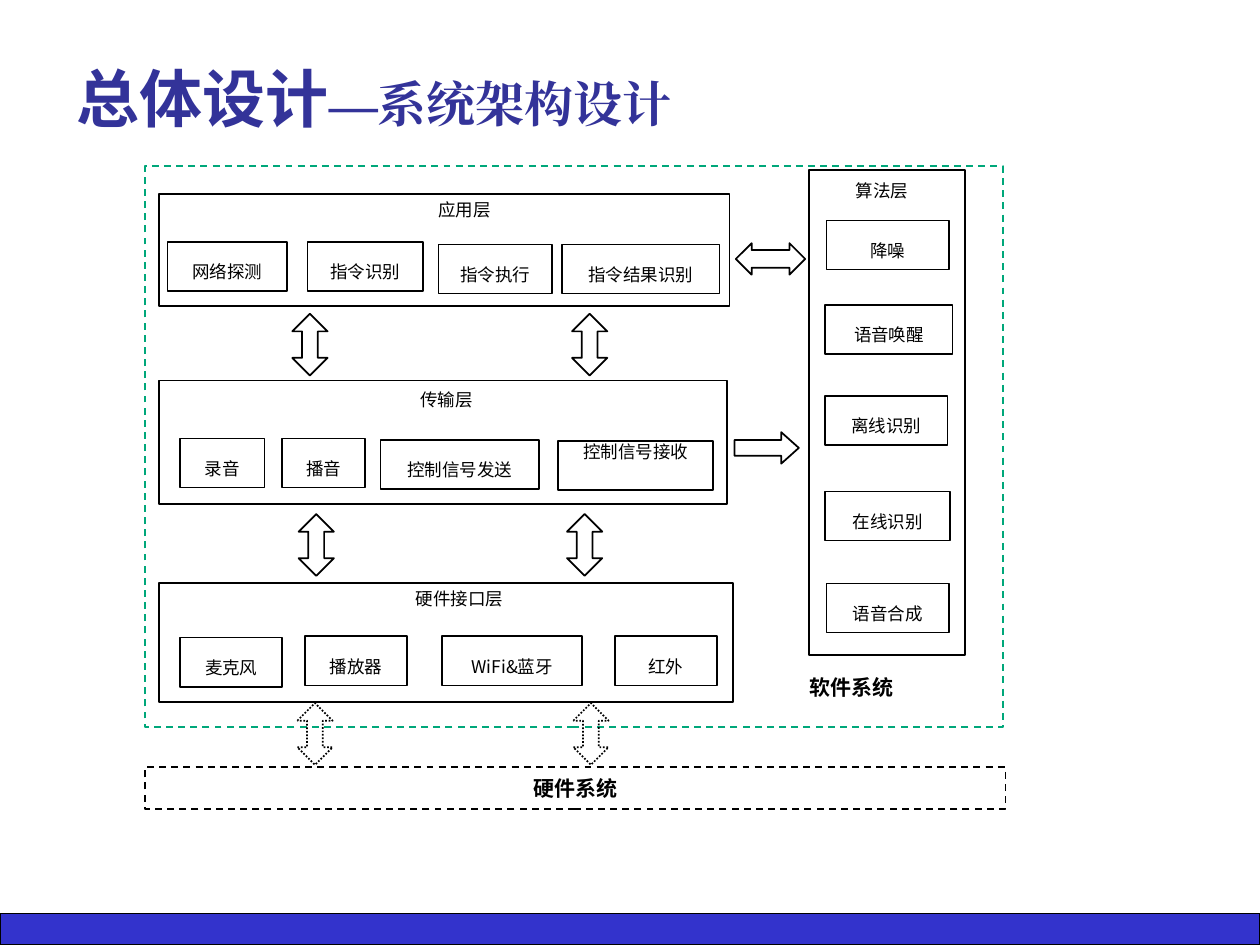
import dataclasses

import pptx
import pptx.dml.color
import pptx.enum.dml
import pptx.enum.shapes
import pptx.enum.text
import pptx.util
from lxml import etree

Inches = pptx.util.Inches
Pt = pptx.util.Pt
Shape = pptx.enum.shapes.MSO_SHAPE
Dash = pptx.enum.dml.MSO_LINE
Align = pptx.enum.text.PP_ALIGN
Anchor = pptx.enum.text.MSO_ANCHOR


@dataclasses.dataclass(frozen=True)
class Theme:
    title: str = "333399"
    bar: str = "3333CC"
    frame: str = "00A77A"
    ink: str = "000000"
    paper: str = "FFFFFF"
    head_font: str = "Cabin"
    sub_font: str = "Times New Roman"
    font: str = "Noto Sans CJK SC"
    head: int = 36
    sub: int = 28
    strong: int = 12
    small: int = 10


THEME = Theme()
PART_H = 0.39


def rgb(code):
    return pptx.dml.color.RGBColor.from_string(code)


def write(para, text, size=THEME.small, font=THEME.font, color=THEME.ink,
          bold=False, align=Align.CENTER, space=1.0):
    """Add a run to a paragraph, with one font for Latin and Chinese."""
    para.alignment = align
    para.line_spacing = space
    run = para.add_run()
    run.text = text
    run.font.size = Pt(size)
    run.font.bold = bold
    run.font.name = font
    run.font.color.rgb = rgb(color)
    latin = run.font._element.find(pptx.oxml.ns.qn("a:latin"))
    east = etree.Element(pptx.oxml.ns.qn("a:ea"), typeface=font)
    latin.addnext(east)


def draw(slide, kind, box, line=THEME.ink, fill=None, dash=None, width=1):
    shape = slide.shapes.add_shape(kind, *map(Inches, box))
    shape.shadow.inherit = False
    if fill:
        shape.fill.solid()
        shape.fill.fore_color.rgb = rgb(fill)
    else:
        shape.fill.background()
    shape.line.color.rgb = rgb(line)
    shape.line.width = Pt(width)
    if dash:
        shape.line.dash_style = dash
    return shape


def label(slide, box, text, **style):
    frame = slide.shapes.add_textbox(*map(Inches, box)).text_frame
    frame.word_wrap = True
    frame.margin_top = Inches(0.03)
    write(frame.paragraphs[0], text, **style)


def part(slide, box, text, top=False):
    """Draw a module; top puts its name at the upper edge."""
    frame = draw(slide, Shape.RECTANGLE, box).text_frame
    frame.word_wrap = True
    frame.margin_left = frame.margin_right = 0
    if top:
        frame.margin_top = 0
    frame.vertical_anchor = Anchor.TOP if top else Anchor.MIDDLE
    write(frame.paragraphs[0], text, space=1.0 if top else 1.5)


def layer(slide, box, name, spot, parts):
    """Draw a layer; spot and parts are offsets from its corner."""
    x, y = box[:2]
    draw(slide, Shape.RECTANGLE, box)
    label(slide, (x + spot[0], y + spot[1], spot[2], 0.3), name)
    for dx, dy, wide, text, *top in parts:
        part(slide, (x + dx, y + dy, wide, PART_H), text, *top)


def arrow(slide, kind, box, head, dash=None, turn=0):
    shape = draw(slide, kind, box, dash=dash)
    shape.adjustments[0] = 0.5
    shape.adjustments[1] = head
    shape.rotation = turn


def links(slide, box, dash=None):
    """Draw an upright double arrow at each end of the box."""
    x, y, wide, high = box
    for left in (x, x + wide - 0.28):
        arrow(slide, Shape.UP_DOWN_ARROW, (left, y, 0.28, high), 0.447, dash)


def heading(slide, box):
    title = slide.shapes.title
    title.left, title.top, title.width, title.height = map(Inches, box)
    frame = title.text_frame
    frame.auto_size = pptx.enum.text.MSO_AUTO_SIZE.NONE
    frame.vertical_anchor = Anchor.BOTTOM
    para = frame.paragraphs[0]
    style = {"color": THEME.title, "bold": True, "align": Align.LEFT}
    write(para, "总体设计", size=THEME.head, font=THEME.head_font, **style)
    write(para, "—系统架构设计", size=THEME.sub, font=THEME.sub_font, **style)


def software(slide, box):
    x, y, wide, high = box
    draw(slide, Shape.RECTANGLE, box, line=THEME.frame, dash=Dash.DASH)
    left = x + 0.11
    layer(slide, (left, y + 0.22, 4.53, 0.89), "应用层", (1.82, 0.01, 1.21), [
        (0.07, 0.38, 0.95, "网络探测"), (1.18, 0.38, 0.92, "指令识别"),
        (2.22, 0.4, 0.9, "指令执行"), (3.2, 0.4, 1.25, "指令结果识别")])
    layer(slide, (left, y + 1.7, 4.51, 0.98), "传输层", (1.68, 0.04, 1.21), [
        (0.17, 0.46, 0.67, "录音"), (0.98, 0.46, 0.66, "播音"),
        (1.76, 0.47, 1.26, "控制信号发送"),
        (3.17, 0.48, 1.23, "控制信号接收", True)])
    layer(slide, (left, y + 3.31, 4.56, 0.94), "硬件接口层",
          (1.78, 0.01, 1.21), [
              (0.17, 0.43, 0.81, "麦克风"), (1.16, 0.42, 0.81, "播放器"),
              (2.25, 0.42, 1.11, "WiFi&蓝牙"), (3.62, 0.42, 0.81, "红外")])
    layer(slide, (x + 5.27, y + 0.03, 1.24, 3.85), "算法层",
          (0.19, 0.05, 0.78), [
              (0.14, 0.4, 0.97, "降噪"), (0.13, 1.07, 1.01, "语音唤醒"),
              (0.13, 1.79, 0.97, "离线识别"), (0.13, 2.55, 0.99, "在线识别"),
              (0.14, 3.28, 0.97, "语音合成")])
    links(slide, (x + 1.17, y + 1.17, 2.5, 0.49))
    links(slide, (x + 1.22, y + 2.76, 2.41, 0.49))
    arrow(slide, Shape.UP_DOWN_ARROW, (x + 4.84, y + 0.46, 0.25, 0.55),
          0.559, turn=90)
    arrow(slide, Shape.RIGHT_ARROW, (x + 4.68, y + 2.11, 0.51, 0.25), 0.559)
    label(slide, (x + 4.99, y + 4, 1.23, 0.32), "软件系统",
          size=THEME.strong, bold=True)


def hardware(slide, box):
    x, y = box[:2]
    base = draw(slide, Shape.RECTANGLE, box, dash=Dash.DASH)
    base.text_frame.vertical_anchor = Anchor.MIDDLE
    write(base.text_frame.paragraphs[0], "硬件系统",
          size=THEME.strong, bold=True)
    links(slide, (x + 1.21, y - 0.51, 2.47, 0.49), Dash.ROUND_DOT)


def main():
    deck = pptx.Presentation()
    deck.slide_width, deck.slide_height = Inches(10), Inches(7.5)
    slide = deck.slides.add_slide(deck.slide_layouts[5])
    draw(slide, Shape.RECTANGLE, (0, 7.25, 10, 0.25), fill=THEME.bar,
         width=0.75)
    heading(slide, (0.51, 0.28, 8.52, 0.84))
    software(slide, (1.15, 1.32, 6.81, 4.45))
    hardware(slide, (1.15, 6.09, 6.83, 0.33))
    deck.save("out.pptx")


if __name__ == "__main__":
    main()
